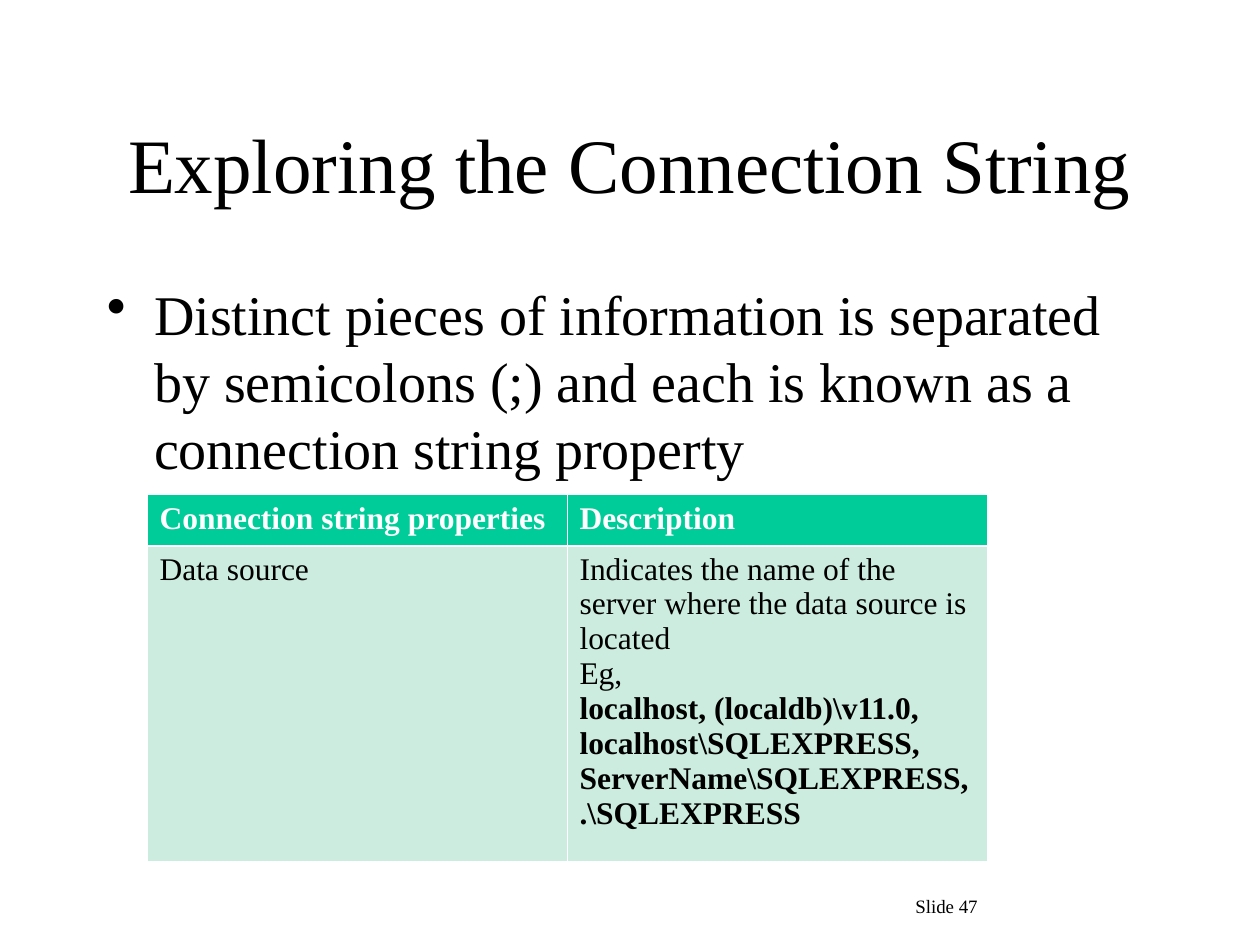
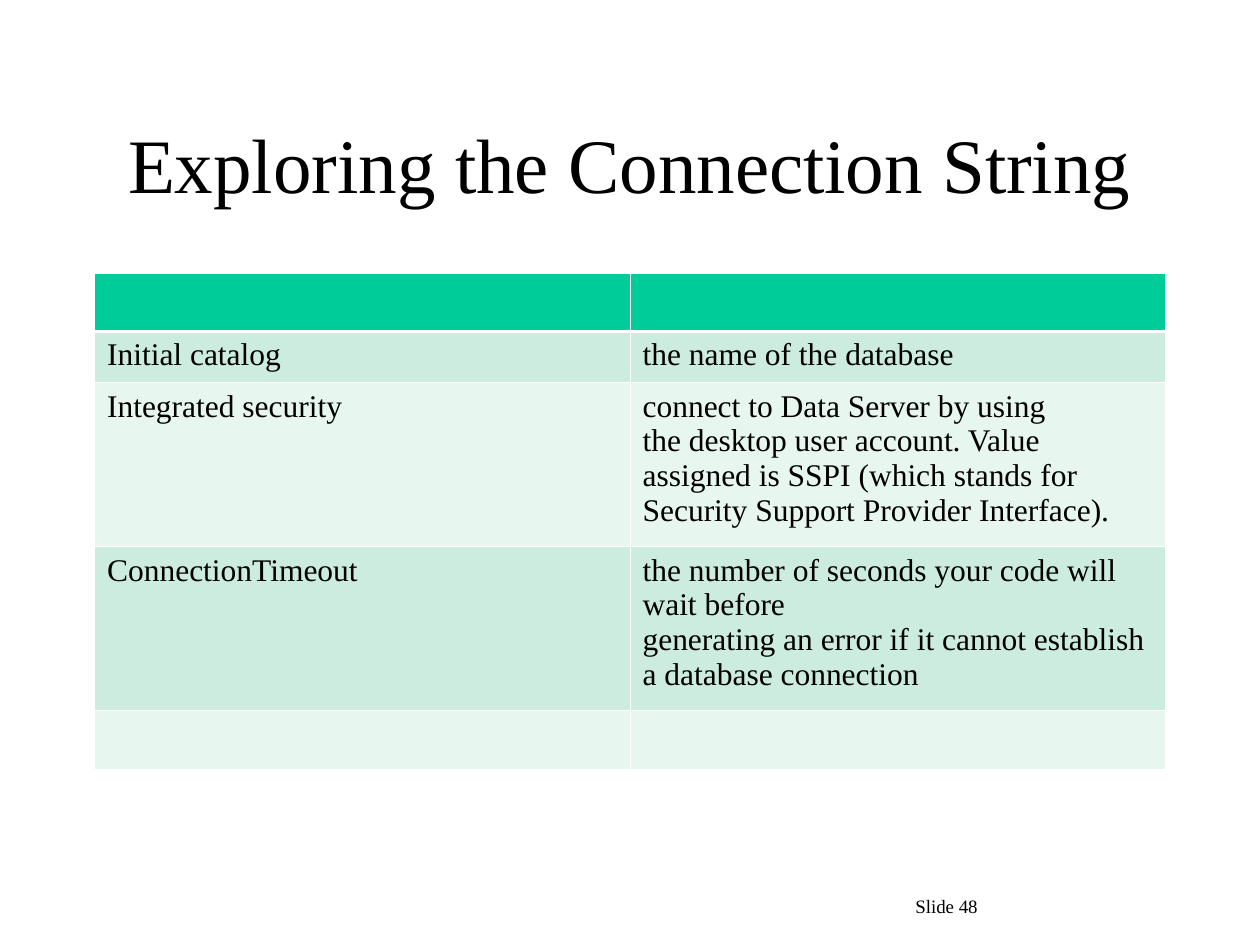
"""Build two slides on the properties of a database connection string."""
from lxml.etree import SubElement
from pptx import Presentation
from pptx.dml.color import RGBColor
from pptx.enum.text import MSO_ANCHOR as Anchor, MSO_AUTO_SIZE as AutoSize, PP_ALIGN as Align
from pptx.oxml import parse_xml
from pptx.oxml.ns import nsdecls, qn
from pptx.util import Pt

FONT = "Times New Roman"
COLORS = {
    "text": "000000",
    "header_text": "FFFFFF",
    "header": "00CC99",
    "odd_row": "CBECDE",
    "even_row": "E7F6EF",
    "border": "FFFFFF",
}
TITLE = "Exploring the Connection String"
FIRST_NUMBER = 47
HAIRLINE, HEADER_RULE = 0.45, 1.47


def add_text(paragraph, text, size, color="text", bold=False):
    run = paragraph.add_run()
    run.text = text
    run.font.name = FONT
    run.font.size = Pt(size)
    run.font.bold = bold
    run.font.color.rgb = RGBColor.from_string(COLORS[color])


def add_border(cell, position, side, width):
    cell._tc.get_or_add_tcPr().insert(position, parse_xml(
        f'<a:ln{side} {nsdecls("a")} w="{Pt(width)}"><a:solidFill>'
        f'<a:srgbClr val="{COLORS["border"]}"/></a:solidFill></a:ln{side}>'))


pages = [
    {
        "bullet": "Distinct pieces of information is separated by semicolons (;) "
                  "and each is known as a connection string property",
        "corner": (84, 282.6),
        "column": 240,
        "heights": [29.2, 180.4],
        "rows": [
            (["Connection string properties"], ["Description"]),
            (["Data source"],
             ["Indicates the name of the server where the data source is located",
              "Eg,",
              "localhost, (localdb)\\v11.0, localhost\\SQLEXPRESS, "
              "ServerName\\SQLEXPRESS, .\\SQLEXPRESS"]),
        ],
    },
    {
        "bullet": None,
        "corner": (54, 156),
        "column": 306,
        "heights": [33.5, 29.2, 93.7, 93.7, 33.5],
        "rows": [
            ([], []),
            (["Initial catalog"], ["the name of the database"]),
            (["Integrated security"],
             ["connect to Data Server by using",
              "the desktop user account. Value assigned is SSPI (which stands for "
              "Security Support Provider Interface)."]),
            (["ConnectionTimeout"],
             ["the number of seconds your code will wait before",
              "generating an error if it cannot establish a database connection"]),
            ([], []),
        ],
    },
]

prs = Presentation()
prs.slide_width, prs.slide_height = Pt(720), Pt(540)

for number, page in enumerate(pages, FIRST_NUMBER):
    slide = prs.slides.add_slide(prs.slide_layouts[5])

    title = slide.shapes.title
    title.left, title.top, title.width, title.height = Pt(54), Pt(48), Pt(612), Pt(90)
    title.text_frame.auto_size = AutoSize.NONE
    title.text_frame.vertical_anchor = Anchor.MIDDLE
    heading = title.text_frame.paragraphs[0]
    heading.alignment = Align.CENTER
    add_text(heading, TITLE, 44)

    if page["bullet"]:
        body = slide.shapes.add_textbox(Pt(54), Pt(156), Pt(612), Pt(324)).text_frame
        body.word_wrap = True
        point = body.paragraphs[0]
        properties = point._p.get_or_add_pPr()
        properties.set("marL", str(Pt(27)))
        properties.set("indent", str(Pt(-27)))
        SubElement(properties, qn("a:buChar"), char="•")
        add_text(point, page["bullet"], 32)

    left, top = page["corner"]
    table = slide.shapes.add_table(
        len(page["rows"]), 2, Pt(left), Pt(top),
        Pt(2 * page["column"]), Pt(sum(page["heights"]))).table
    for column in table.columns:
        column.width = Pt(page["column"])

    for row_index, row in enumerate(page["rows"]):
        table.rows[row_index].height = Pt(page["heights"][row_index])
        is_header = row_index == 0
        band = "header" if is_header else "odd_row" if row_index % 2 else "even_row"
        borders = {
            "L": HAIRLINE,
            "R": HAIRLINE,
            "T": HEADER_RULE if row_index == 1 else HAIRLINE,
            "B": HEADER_RULE if is_header else HAIRLINE,
        }
        for column_index, lines in enumerate(row):
            cell = table.cell(row_index, column_index)
            cell.fill.solid()
            cell.fill.fore_color.rgb = RGBColor.from_string(COLORS[band])
            for position, (side, width) in enumerate(borders.items()):
                add_border(cell, position, side, width)
            for line_index, line in enumerate(lines):
                frame = cell.text_frame
                paragraph = frame.add_paragraph() if line_index else frame.paragraphs[0]
                add_text(paragraph, line, 18, "header_text" if is_header else "text",
                         is_header or line.startswith("localhost"))

    footer = slide.shapes.add_textbox(Pt(516), Pt(492), Pt(150), Pt(36)).text_frame
    footer.word_wrap = True
    footer.vertical_anchor = Anchor.BOTTOM
    add_text(footer.paragraphs[0], f"Slide {number}", 10.8)

prs.save("out.pptx")
